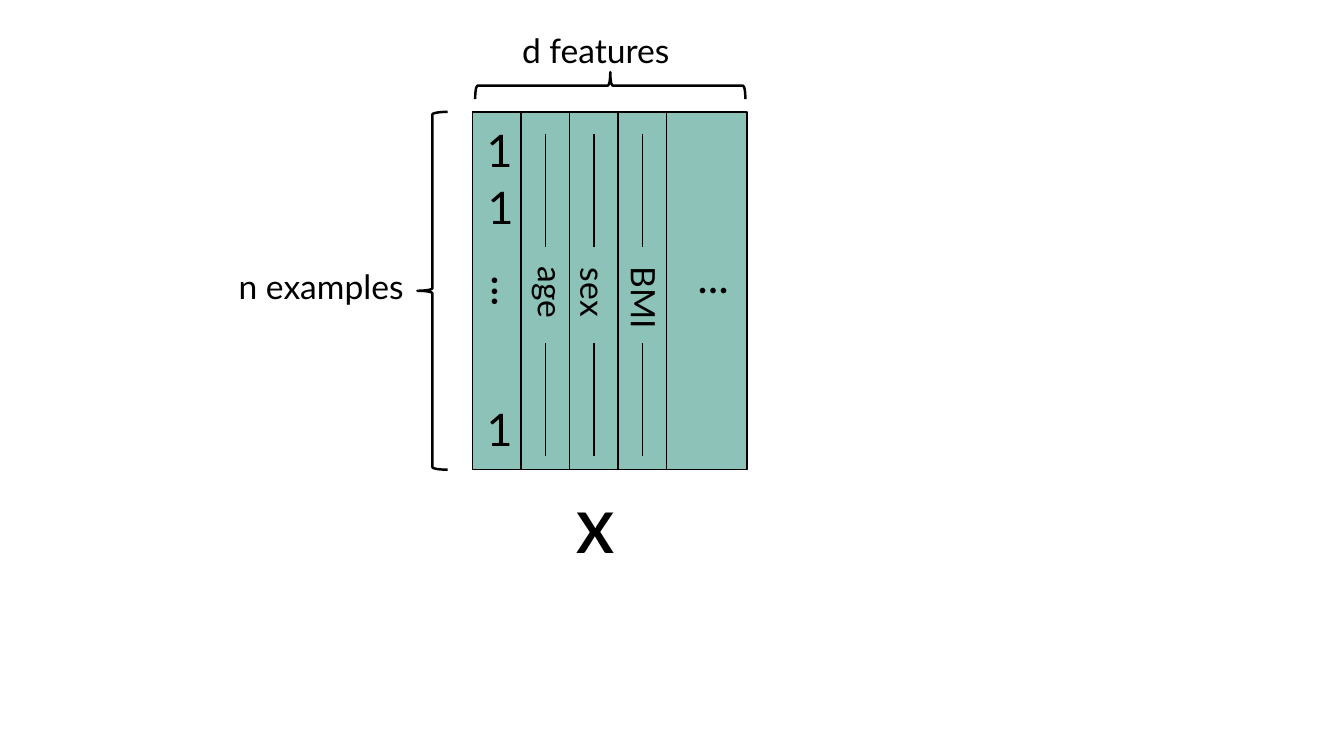
from pptx import Presentation
from pptx.dml.color import RGBColor
from pptx.enum.shapes import MSO_CONNECTOR, MSO_SHAPE
from pptx.enum.text import MSO_AUTO_SIZE
from pptx.oxml.xmlchemy import OxmlElement
from pptx.util import Pt

BLACK = RGBColor(0x00, 0x00, 0x00)
TEAL = RGBColor(0x8C, 0xC2, 0xB7)

MATRIX_LEFT, MATRIX_TOP = 337.7, 79.9
MATRIX_WIDTH, MATRIX_HEIGHT = 195.8, 255.6
COLUMN_WIDTH = 34.6


def add_outline(preset, left, top, width, height, line_width):
    shape = slide.shapes.add_shape(preset, Pt(left), Pt(top), Pt(width), Pt(height))
    shape.shadow.inherit = False
    shape.fill.background()
    shape.line.color.rgb = BLACK
    shape.line.width = Pt(line_width)
    return shape


def add_label(text, left, top, width, height, size, rotation=0, bold=False):
    box = slide.shapes.add_textbox(Pt(left), Pt(top), Pt(width), Pt(height))
    box.rotation = rotation
    frame = box.text_frame
    frame.word_wrap = True
    frame.auto_size = MSO_AUTO_SIZE.SHAPE_TO_FIT_TEXT
    paragraph = frame.paragraphs[0]
    paragraph.text = text
    paragraph.font.name = "Lato"
    paragraph.font.size = Pt(size)
    paragraph.font.bold = bold
    paragraph.font.color.rgb = BLACK


presentation = Presentation()
presentation.slide_width = Pt(960)
presentation.slide_height = Pt(540)
slide = presentation.slides.add_slide(presentation.slide_layouts[6])

matrix = add_outline(MSO_SHAPE.RECTANGLE, MATRIX_LEFT, MATRIX_TOP, MATRIX_WIDTH, MATRIX_HEIGHT, 1)
matrix.fill.solid()
matrix.fill.fore_color.rgb = TEAL

for column in range(4):
    add_outline(MSO_SHAPE.RECTANGLE, MATRIX_LEFT + column * COLUMN_WIDTH, MATRIX_TOP,
                COLUMN_WIDTH, MATRIX_HEIGHT, 1)

for left, top in [(340.6, 84.2), (341.3, 124.6), (340.6, 283.7)]:
    add_label("1", left, top, 44, 46.1, 32)
add_label("...", 339.8, 190.8, 48.2, 46.1, 32, rotation=90)
add_label("...", 491, 174.2, 48.2, 46.1, 32)

features = [("age", 357.1, 202.3), ("sex", 387.4, 203), ("BMI", 423.4, 202.3)]
for column, (name, left, top) in enumerate(features, start=1):
    add_label(name, left, top, 73.4, 36, 24, rotation=90)
    center = MATRIX_LEFT + (column + 0.5) * COLUMN_WIDTH
    for line_top in (95.8, 244.8):
        line = slide.shapes.add_connector(MSO_CONNECTOR.STRAIGHT, Pt(center), Pt(line_top + 80.6),
                                          Pt(center), Pt(line_top))
        line.line.color.rgb = BLACK
        line.line.width = Pt(1)
        line._element.spPr.append(OxmlElement("a:effectLst"))

add_outline(MSO_SHAPE.LEFT_BRACE, 298.1, MATRIX_TOP, 21.6, MATRIX_HEIGHT, 1.75)
add_label("n examples", 163.4, 186.5, 203, 36, 24)
features_brace = add_outline(MSO_SHAPE.LEFT_BRACE, 426.2, -35.3, 19.4, 193, 1.75)
features_brace.rotation = 90
add_label("d features", 365.8, 18, 146.9, 36, 24)
add_label("X", 404.6, 352.1, 48.2, 55.4, 40, bold=True)

presentation.save("out.pptx")
